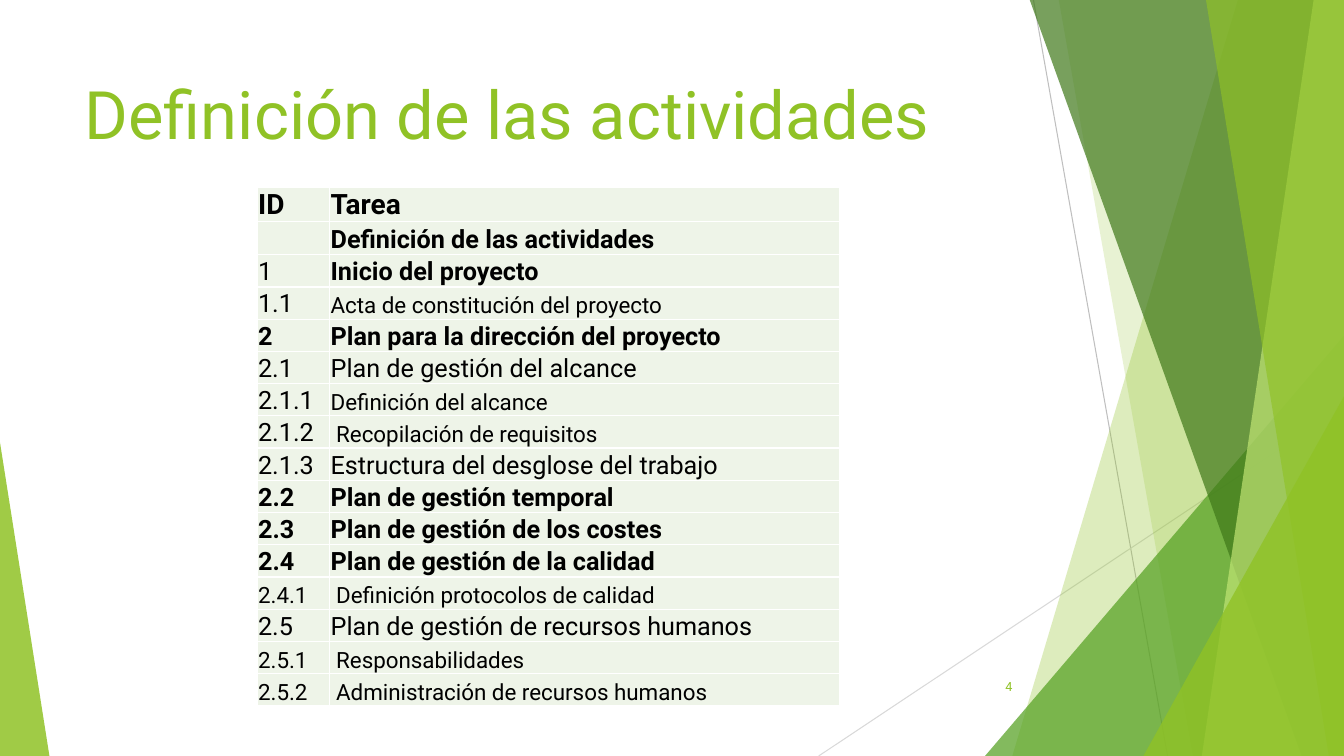
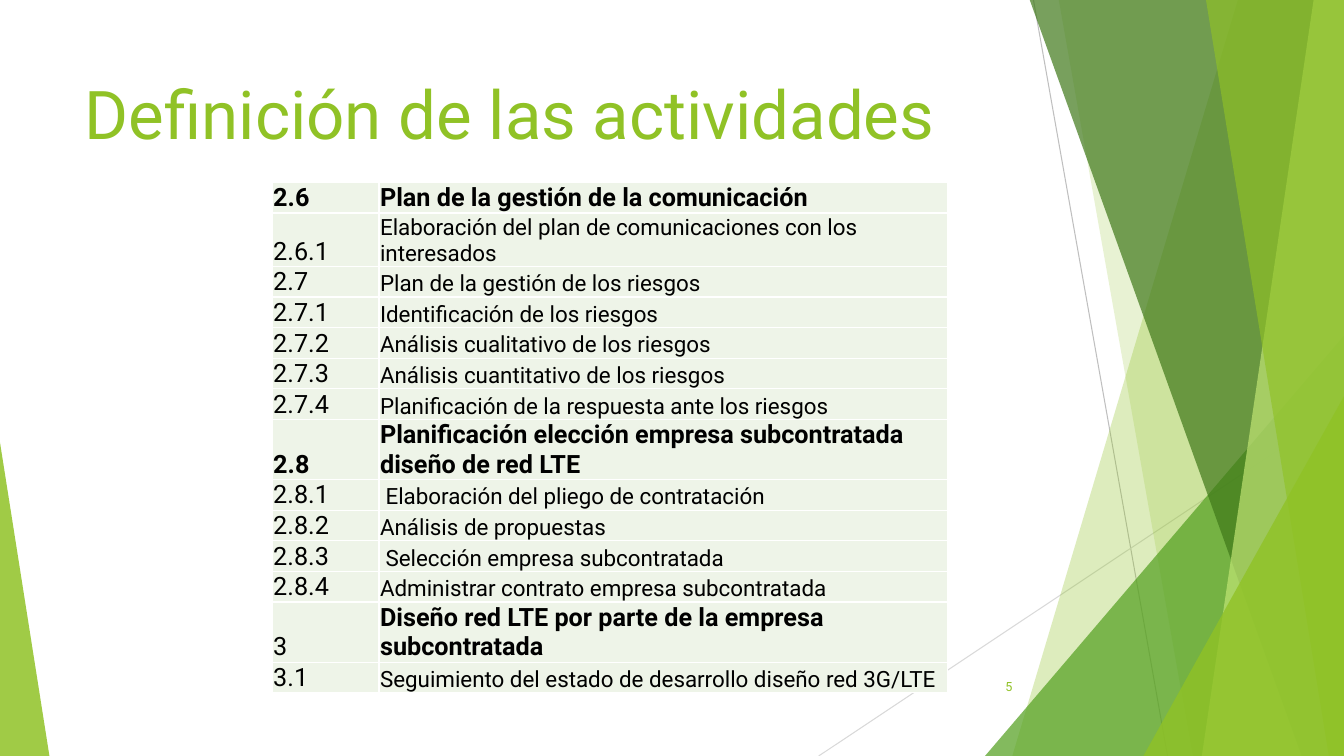
from lxml.etree import SubElement
from pptx import Presentation
from pptx.dml.color import RGBColor
from pptx.enum.shapes import MSO_CONNECTOR, MSO_SHAPE
from pptx.enum.text import MSO_ANCHOR, MSO_AUTO_SIZE, PP_ALIGN
from pptx.oxml.ns import qn
from pptx.util import Inches, Pt

FONT = "Roboto"
WIDTH, HEIGHT = 13.33, 7.5
COLOURS = {
    "lime": "90C226", "green": "54A021", "forest": "3F7819", "pale": "C0E474",
    "grey": "BFBFBF", "silver": "D9D9D9", "cell": "EEF4E8", "white": "FFFFFF",
    "black": "000000",
}

HEAD = {"size": 20, "bold": True}
BOLD = {"size": 18, "bold": True}
MAIN = {"size": 18}
SMALL = {"size": 16}

# Each row: identifier, its format, task, its format
SLIDES = [
    {
        "title": "Definición de las actividades", "title_size": 47.7, "title_height": 0.72,
        "number": "4", "table_at": (2.55, 1.86), "columns": (0.72, 5.06),
        "row_height": 0.32, "other_heights": {1: 0.33},
        "rows": [
            ("ID", HEAD, "Tarea", HEAD),
            ("", MAIN, "Definición de las actividades", BOLD),
            ("1", MAIN, "Inicio del proyecto", BOLD),
            ("1.1", MAIN, "Acta de constitución del proyecto", SMALL),
            ("2", BOLD, "Plan para la dirección del proyecto", BOLD),
            ("2.1", MAIN, "Plan de gestión del alcance", MAIN),
            ("2.1.1", MAIN, "Definición del alcance", SMALL),
            ("2.1.2", MAIN, " Recopilación de requisitos", SMALL),
            ("2.1.3", MAIN, "Estructura del desglose del trabajo", MAIN),
            ("2.2", BOLD, "Plan de gestión temporal", BOLD),
            ("2.3", BOLD, "Plan de gestión de los costes", BOLD),
            ("2.4", BOLD, "Plan de gestión de la calidad", BOLD),
            ("2.4.1", SMALL, " Definición protocolos de calidad", SMALL),
            ("2.5", MAIN, "Plan de gestión de recursos humanos", MAIN),
            ("2.5.1", SMALL, " Responsabilidades", SMALL),
            ("2.5.2", SMALL, " Administración de recursos humanos", SMALL),
        ],
    },
    {
        "title": "Definición de las actividades", "title_size": 48, "title_height": 1.04,
        "number": "5", "table_at": (2.7, 1.81), "columns": (1.06, 5.64),
        "row_height": 0.3, "other_heights": {1: 0.53, 7: 0.59, 12: 0.56},
        "rows": [
            ("2.6", BOLD, "Plan de la gestión de la comunicación", BOLD),
            ("2.6.1", MAIN, "Elaboración del plan de comunicaciones con los interesados", SMALL),
            ("2.7", MAIN, "Plan de la gestión de los riesgos", SMALL),
            ("2.7.1", MAIN, "Identificación de los riesgos", SMALL),
            ("2.7.2", MAIN, "Análisis cualitativo de los riesgos", SMALL),
            ("2.7.3", MAIN, "Análisis cuantitativo de los riesgos", SMALL),
            ("2.7.4", MAIN, "Planificación de la respuesta ante los riesgos", SMALL),
            ("2.8", BOLD, "Planificación elección empresa subcontratada diseño de red LTE", BOLD),
            ("2.8.1", MAIN, " Elaboración del pliego de contratación", SMALL),
            ("2.8.2", MAIN, "Análisis de propuestas", SMALL),
            ("2.8.3", MAIN, " Selección empresa subcontratada", SMALL),
            ("2.8.4", MAIN, "Administrar contrato empresa subcontratada", SMALL),
            ("3", MAIN, "Diseño red LTE por parte de la empresa subcontratada", BOLD),
            ("3.1", MAIN, "Seguimiento del estado de desarrollo diseño red 3G/LTE", SMALL),
        ],
    },
]

# Lines: start, end, colour
BACKDROP_LINES = [
    ((10.25, 0), (11.58, HEIGHT), "grey"),
    ((WIDTH, 4.03), (8.12, HEIGHT), "silver"),
]
# Bands: (x at the top, x at the bottom), reaching to the right edge.
# Triangles: (left, top, width, apex position), reaching to the bottom edge.
BACKDROP_SHAPES = [
    ((12.28, 10.04), "lime", 30),
    ((10.5, 11.83), "lime", 20),
    ((9.77, 3.33, 3.56, 1), "green", 72),
    ((10.21, 12.91), "forest", 70),
    ((13.03, 11.92), "pale", 70),
    ((11.96, 13.18), "lime", 65),
    ((11.34, 3.93, 1.99, 1), "lime", 80),
    ((0, 4.39, 0.49, 0), "lime", 85),
]


def rgb(name):
    """Return the named colour."""
    return RGBColor.from_string(COLOURS[name])


def write_text(frame, text, size=18, bold=False, colour="black",
               align=PP_ALIGN.LEFT, anchor=MSO_ANCHOR.TOP):
    """Put one formatted paragraph in a text frame."""
    frame.word_wrap = True
    frame.auto_size = MSO_AUTO_SIZE.NONE
    frame.vertical_anchor = anchor
    paragraph = frame.paragraphs[0]
    paragraph.alignment = align
    run = paragraph.add_run()
    run.text = text
    run.font.name = FONT
    run.font.size = Pt(size)
    run.font.bold = bold
    run.font.color.rgb = rgb(colour)


def add_band(slide, top_x, bottom_x):
    """Add a full-height band from a slanted side to the right edge."""
    top = -0.01
    corners = [(top_x, top), (WIDTH, top), (WIDTH, HEIGHT), (bottom_x, HEIGHT)]
    points = [(Inches(x), Inches(y)) for x, y in corners]
    builder = slide.shapes.build_freeform(*points[0])
    builder.add_line_segments(points[1:], close=True)
    return builder.convert_to_shape()


def add_triangle(slide, left, top, width, apex):
    """Add a triangle that stands on the bottom edge."""
    shape = slide.shapes.add_shape(
        MSO_SHAPE.ISOSCELES_TRIANGLE, Inches(left), Inches(top),
        Inches(width), Inches(HEIGHT - top))
    shape.adjustments[0] = apex
    return shape


def move_backdrop_to_layout(slide, layout):
    """Draw the shared lines and shapes, then keep them on the layout."""
    parts = []
    for start, end, colour in BACKDROP_LINES:
        connector = slide.shapes.add_connector(
            MSO_CONNECTOR.STRAIGHT, *(Inches(value) for value in start + end))
        connector.line.color.rgb = rgb(colour)
        connector.line.width = Pt(0.75)
        SubElement(connector.element.spPr, qn("a:effectLst"))
        parts.append(connector)
    for geometry, colour, opacity in BACKDROP_SHAPES:
        add_part = add_band if len(geometry) == 2 else add_triangle
        shape = add_part(slide, *geometry)
        shape.shadow.inherit = False
        shape.fill.solid()
        shape.fill.fore_color.rgb = rgb(colour)
        fill_colour = shape.element.spPr.find(qn("a:solidFill")).find(qn("a:srgbClr"))
        SubElement(fill_colour, qn("a:alpha"), val=str(opacity * 1000))
        shape.line.fill.background()
        parts.append(shape)
    for part in parts:
        layout.shapes.element.append(part.element)


def format_cell(cell, text, style):
    """Give a cell its borders, fill, margins and text."""
    properties = cell._tc.get_or_add_tcPr()
    for side in ("a:lnL", "a:lnR", "a:lnT", "a:lnB"):
        border = SubElement(properties, qn(side), w=str(Pt(1)))
        border_fill = SubElement(border, qn("a:solidFill"))
        SubElement(border_fill, qn("a:srgbClr"), val=COLOURS["white"])
    cell.fill.solid()
    cell.fill.fore_color.rgb = rgb("cell")
    cell.margin_left = cell.margin_top = cell.margin_right = Inches(0.01)
    cell.margin_bottom = 0
    cell.vertical_anchor = MSO_ANCHOR.BOTTOM
    if text:
        paragraph_format = dict(style, anchor=MSO_ANCHOR.BOTTOM)
        write_cell(cell, text, **paragraph_format)


def write_cell(cell, text, anchor, **style):
    """Write a cell's text without touching its wrapping."""
    write_text(cell.text_frame, text, anchor=anchor, **style)
    body = cell.text_frame._txBody.bodyPr
    for name in list(body.attrib):
        del body.attrib[name]
    for child in list(body):
        body.remove(child)


def add_task_table(slide, content):
    """Add the table of identifiers and tasks."""
    rows, columns = content["rows"], content["columns"]
    heights = [content["other_heights"].get(index, content["row_height"])
               for index in range(len(rows))]
    left, top = content["table_at"]
    table = slide.shapes.add_table(
        len(rows), len(columns), Inches(left), Inches(top),
        Inches(sum(columns)), Inches(sum(heights))).table
    table.first_row = table.horz_banding = False
    for column, width in zip(table.columns, columns):
        column.width = Inches(width)
    for row, height, (number, number_style, task, task_style) in zip(table.rows, heights, rows):
        row.height = Inches(height)
        format_cell(row.cells[0], number, number_style)
        format_cell(row.cells[1], task, task_style)


def add_title_and_number(slide, content):
    """Fill the title placeholder and add the slide number."""
    title = slide.shapes.title
    title.left, title.top = Inches(0.74), Inches(0.67)
    title.width, title.height = Inches(9.4), Inches(content["title_height"])
    write_text(title.text_frame, content["title"], size=content["title_size"], colour="lime")
    number = slide.shapes.add_textbox(Inches(9.39), Inches(6.61), Inches(0.75), Inches(0.4))
    write_text(number.text_frame, content["number"], size=9, colour="lime",
               align=PP_ALIGN.RIGHT, anchor=MSO_ANCHOR.MIDDLE)


def main():
    """Build and save the presentation."""
    presentation = Presentation()
    presentation.slide_width, presentation.slide_height = Inches(WIDTH), Inches(HEIGHT)
    layout = presentation.slide_layouts[5]
    for placeholder in list(layout.placeholders):
        if placeholder.placeholder_format.idx != 0:
            layout.shapes.element.remove(placeholder.element)
    for index, content in enumerate(SLIDES):
        slide = presentation.slides.add_slide(layout)
        if index == 0:
            move_backdrop_to_layout(slide, layout)
        add_title_and_number(slide, content)
        add_task_table(slide, content)
    presentation.save("out.pptx")


main()
